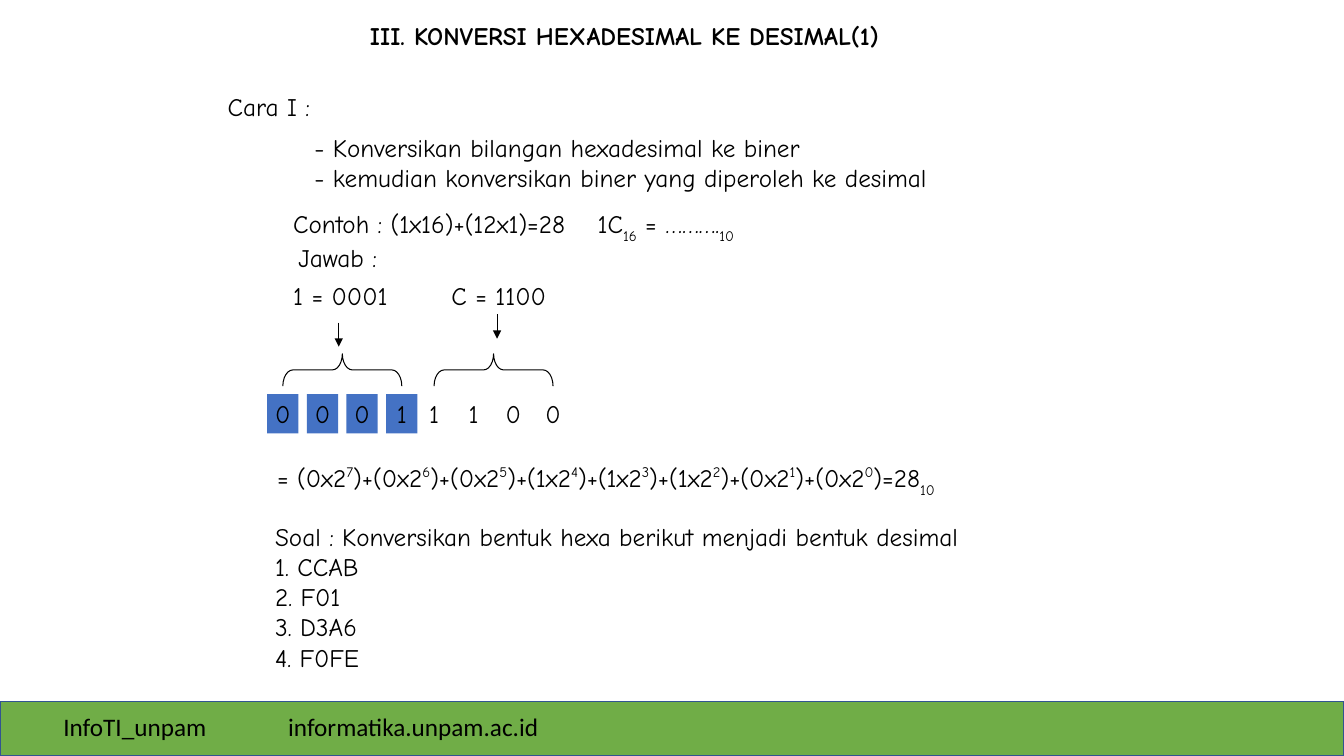
from lxml import etree
from pptx import Presentation
from pptx.dml.color import RGBColor
from pptx.enum.shapes import MSO_CONNECTOR, MSO_SHAPE
from pptx.enum.text import MSO_ANCHOR, MSO_AUTO_SIZE, PP_ALIGN
from pptx.oxml.ns import qn
from pptx.util import Inches, Pt

BLACK = RGBColor(0x00, 0x00, 0x00)
GREEN = RGBColor(0x70, 0xAD, 0x47)
NAVY = RGBColor(0x32, 0x54, 0x91)
BLUE = RGBColor(0x44, 0x72, 0xC4)
RECTANGLE, BAND, BRACE = MSO_SHAPE.RECTANGLE, MSO_SHAPE.FLOWCHART_PROCESS, MSO_SHAPE.LEFT_BRACE
STRAIGHT = MSO_CONNECTOR.STRAIGHT
MIDDLE, CENTER = MSO_ANCHOR.MIDDLE, PP_ALIGN.CENTER
GROW = MSO_AUTO_SIZE.SHAPE_TO_FIT_TEXT
BODY_FORMAT = {"name": "Comic Neue", "size": Pt(18)}
TITLE_FORMAT = {**BODY_FORMAT, "bold": True}
FOOTER_FORMAT = {"name": "Calibri", "size": Pt(18)}
SUB, SUPER = -30000, 40000

prs = Presentation()
prs.slide_width, prs.slide_height = Inches(13.33), Inches(7.5)
slide = prs.slides.add_slide(prs.slide_layouts[6])
shapes = slide.shapes


def write_runs(paragraph, runs, font_format):
    """Add (text, baseline) runs; a baseline of 0 is normal text."""
    for text, baseline in runs:
        run = paragraph.add_run()
        run.text = text
        run.font.color.rgb = BLACK
        for key, value in font_format.items():
            setattr(run.font, key, value)
        if baseline:
            run.font._element.set("baseline", str(baseline))


def add_lines(left, top, width, height, lines, font_format=BODY_FORMAT, wrap=False):
    """Add a text box; each line is a string or a list of runs."""
    frame = shapes.add_textbox(Inches(left), Inches(top), Inches(width), Inches(height)).text_frame
    frame.word_wrap = wrap
    frame.auto_size = GROW
    for index, line in enumerate(lines):
        paragraph = frame.add_paragraph() if index else frame.paragraphs[0]
        write_runs(paragraph, [(line, 0)] if isinstance(line, str) else line, font_format)
    return frame


# Footer
footer = shapes.add_shape(BAND, Inches(0), Inches(6.96), Inches(13.33), Inches(0.54))
footer.shadow.inherit = False
footer.fill.solid()
footer.fill.fore_color.rgb = GREEN
footer.line.color.rgb = NAVY
footer.line.width = Pt(1)
add_lines(0.53, 7.01, 1.96, 0.4, ["InfoTI_unpam"], FOOTER_FORMAT, wrap=True)
add_lines(2.76, 7.01, 2.95, 0.4, ["informatika.unpam.ac.id"], FOOTER_FORMAT, wrap=True)

# Title and method
add_lines(3.57, 0.15, 6.2, 0.4, ["III. KONVERSI HEXADESIMAL KE DESIMAL(1)"], TITLE_FORMAT)
add_lines(2.16, 0.86, 1.09, 0.4, ["Cara I :"])
add_lines(3.02, 1.26, 6.61, 0.7, [
    "- Konversikan bilangan hexadesimal ke biner",
    "- kemudian konversikan biner yang diperoleh ke desimal",
])

# Worked example
example = add_lines(2.81, 2.02, 7.46, 0.4, [
    [("Contoh : (1x16)+(12x1)=28\t1C", 0), ("16", SUB), (" = ……….", 0), ("10", SUB)],
], wrap=True)
tab_list = etree.SubElement(example.paragraphs[0]._p.get_or_add_pPr(), qn("a:tabLst"))
etree.SubElement(tab_list, qn("a:tab"), pos=str(Inches(3.02)), algn="l")
add_lines(2.86, 2.36, 1.09, 0.4, ["Jawab :"])

# Each hex digit: label, arrow, brace and its four bits
BRACE_WIDTH, BRACE_DEPTH = 1.18, 0.32
BIT_WIDTH, BIT_HEIGHT, BIT_TOP = 0.31, 0.39, 3.91
BIT_STEP = BRACE_WIDTH / 3
BRACE_MIDDLE = 3.67
hex_digits = [
    ("1", "0001", 2.65, 2.81, 3.36, 3.2, True),
    ("C", "1100", 4.15, 4.38, 4.93, 3.12, False),
]
for digit, bits, bits_left, label_left, arrow_x, arrow_top, filled in hex_digits:
    add_lines(label_left, 2.73, 1.16, 0.4, [f"{digit} = {bits}"])

    for index, bit in enumerate(bits):
        cell = shapes.add_shape(RECTANGLE, Inches(bits_left + index * BIT_STEP), Inches(BIT_TOP),
                                Inches(BIT_WIDTH), Inches(BIT_HEIGHT))
        cell.shadow.inherit = False
        cell.line.fill.background()
        if filled:
            cell.fill.solid()
            cell.fill.fore_color.rgb = BLUE
        else:
            cell.fill.background()
        cell.text_frame.word_wrap = False
        cell.text_frame.vertical_anchor = MIDDLE
        bit_paragraph = cell.text_frame.paragraphs[0]
        bit_paragraph.alignment = CENTER
        write_runs(bit_paragraph, [(bit, 0)], BODY_FORMAT)

    brace_center = bits_left + (BIT_WIDTH + BRACE_WIDTH) / 2
    brace = shapes.add_shape(BRACE, Inches(brace_center - BRACE_DEPTH / 2),
                             Inches(BRACE_MIDDLE - BRACE_WIDTH / 2),
                             Inches(BRACE_DEPTH), Inches(BRACE_WIDTH))
    brace.rotation = 90
    brace.adjustments[0] = 0.31
    brace.shadow.inherit = False
    brace.fill.background()

    arrow = shapes.add_connector(STRAIGHT, Inches(arrow_x), Inches(arrow_top),
                                 Inches(arrow_x), Inches(arrow_top + 0.24))
    for outlined in (brace, arrow):
        outlined.line.color.rgb = BLACK
        outlined.line.width = Pt(0.75)
    etree.SubElement(arrow.line._get_or_add_ln(), qn("a:tailEnd"), type="triangle")
    etree.SubElement(arrow._element.spPr, qn("a:effectLst"))

# Sum of the powers of two
all_bits = "".join(digit[1] for digit in hex_digits)
sum_runs = []
for index, bit in enumerate(all_bits):
    opening = ")+(" if index else "= ("
    sum_runs += [(f"{opening}{bit}x2", 0), (str(len(all_bits) - 1 - index), SUPER)]
sum_runs += [(")=28", 0), ("10", SUB)]
add_lines(2.65, 4.54, 7.62, 0.4, [sum_runs])

# Exercises
add_lines(2.63, 5.12, 7.61, 1.6, [
    "Soal : Konversikan bentuk hexa berikut menjadi bentuk desimal",
    "1. CCAB",
    "2. F01",
    "3. D3A6",
    "4. F0FE",
])

prs.save("out.pptx")
